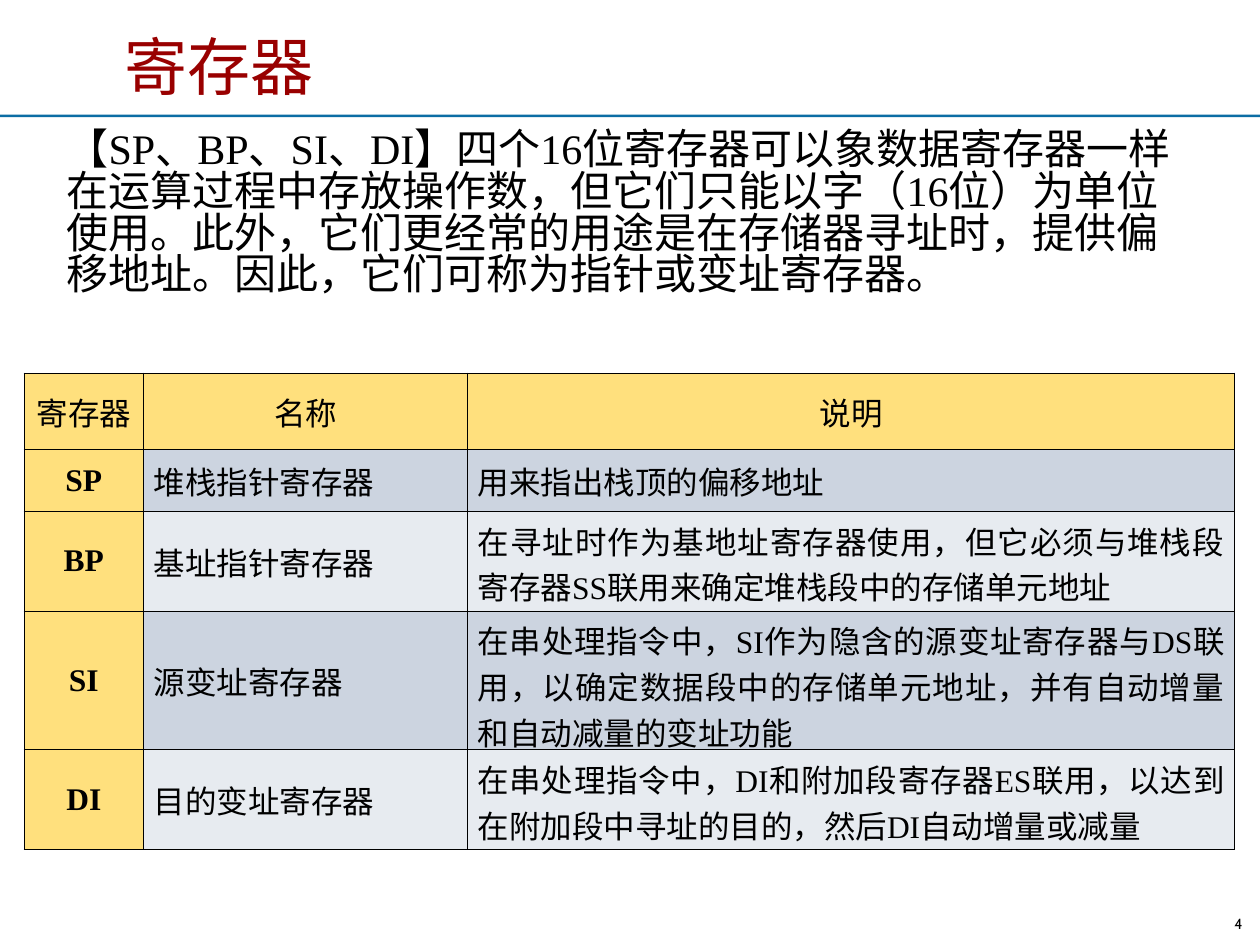
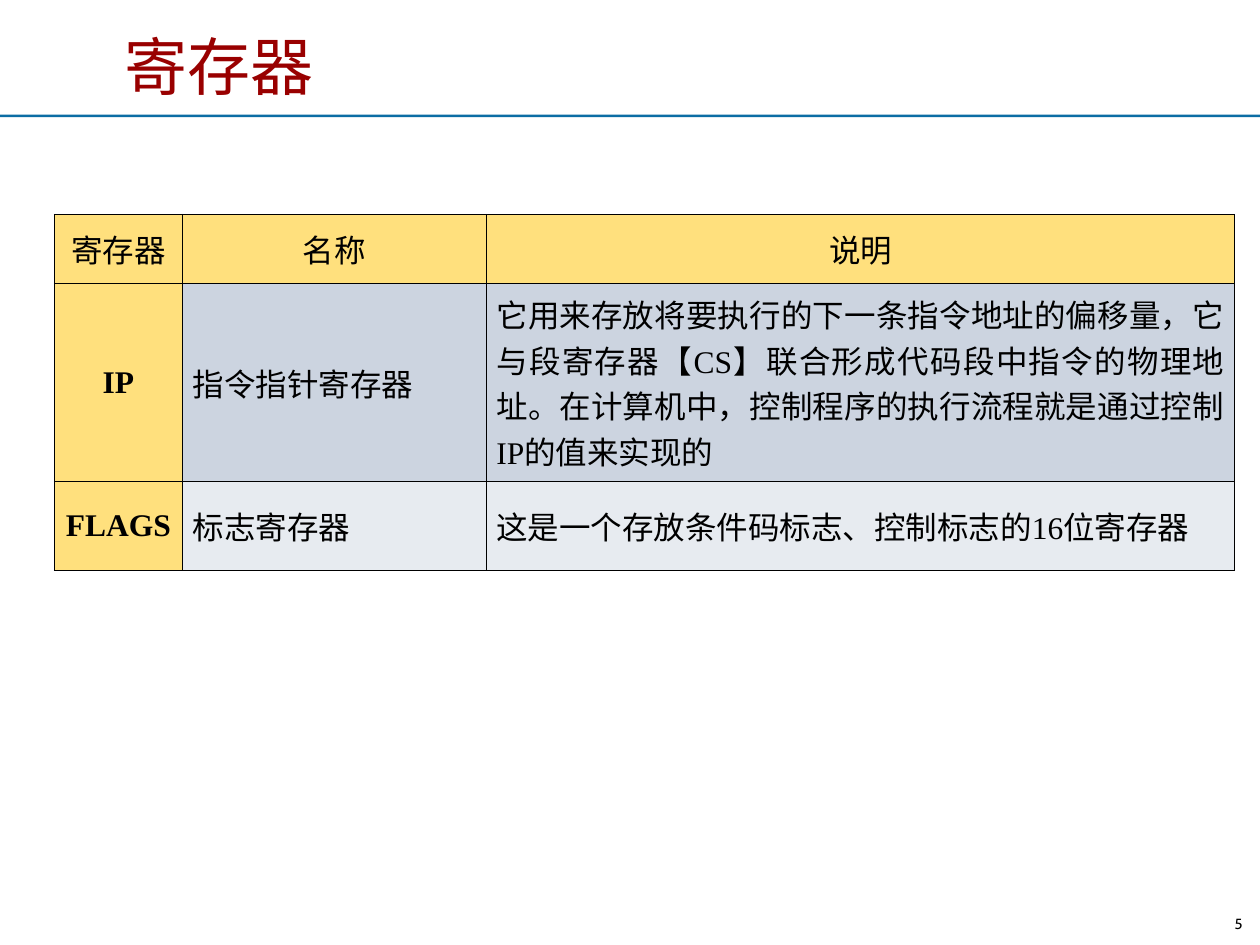
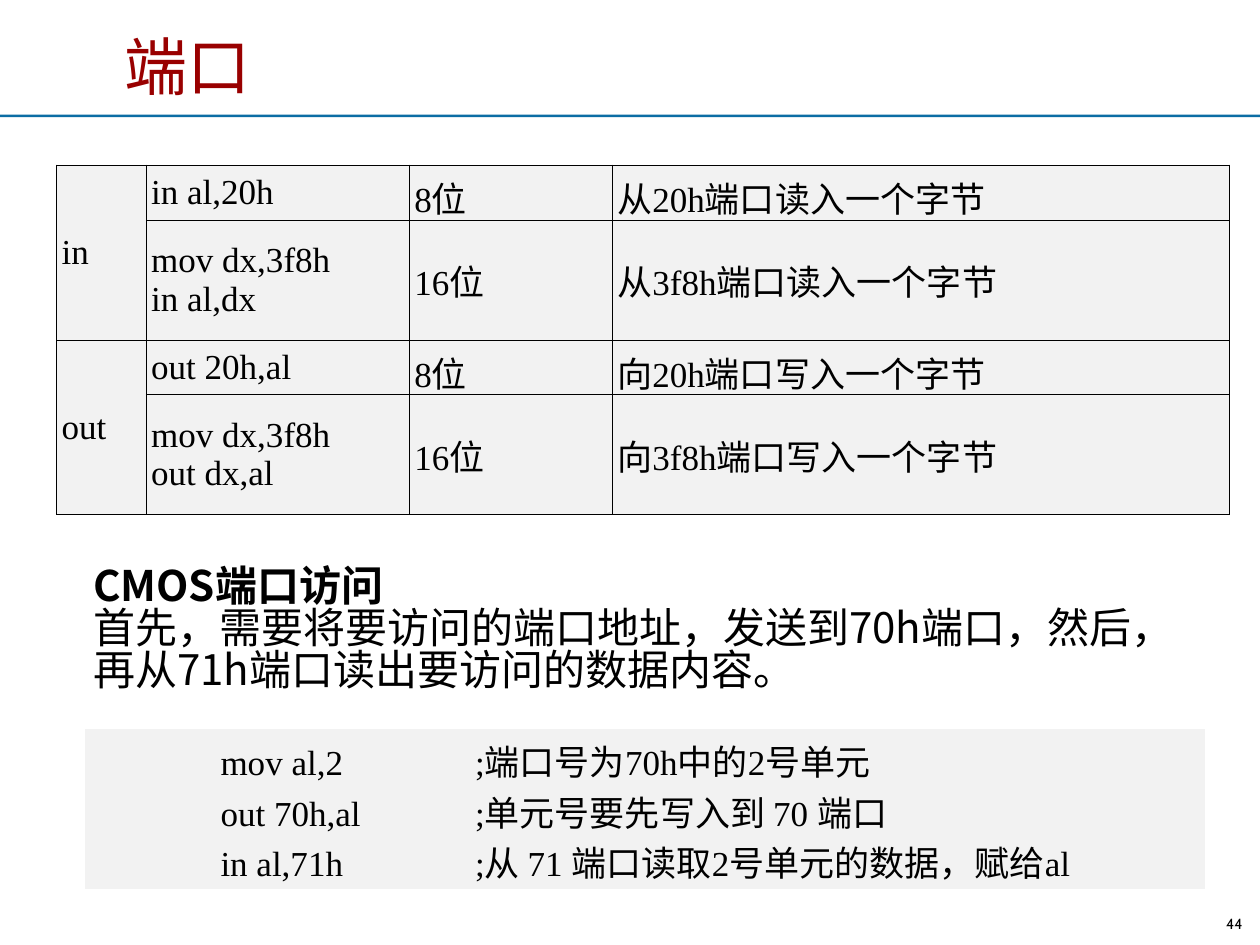
import pptx
import pptx.dml.color
import pptx.enum.shapes
import pptx.enum.text
import pptx.oxml
import pptx.oxml.ns
import pptx.util
from lxml import etree

Inches = pptx.util.Inches
Pt = pptx.util.Pt
ALIGN = pptx.enum.text.PP_ALIGN
MIDDLE = pptx.enum.text.MSO_ANCHOR.MIDDLE
TOP = pptx.enum.text.MSO_ANCHOR.TOP

# Content
HEADER = ("寄存器", "名称", "说明")
POINTER_TEXT = (
    "【SP、BP、SI、DI】四个16位寄存器可以象数据寄存器一样在运算过程中存放操作数，"
    "但它们只能以字（16位）为单位使用。此外，它们更经常的用途是在存储器寻址时，"
    "提供偏移地址。因此，它们可称为指针或变址寄存器。"
)
POINTER_ROWS = [
    HEADER,
    ("SP", "堆栈指针寄存器", "用来指出栈顶的偏移地址"),
    ("BP", "基址指针寄存器",
     "在寻址时作为基地址寄存器使用，但它必须与堆栈段寄存器SS联用来确定堆栈段中的存储单元地址"),
    ("SI", "源变址寄存器",
     "在串处理指令中，SI作为隐含的源变址寄存器与DS联用，以确定数据段中的存储单元地址，"
     "并有自动增量和自动减量的变址功能"),
    ("DI", "目的变址寄存器",
     "在串处理指令中，DI和附加段寄存器ES联用，以达到在附加段中寻址的目的，然后DI自动增量或减量"),
]
CONTROL_ROWS = [
    HEADER,
    ("IP", "指令指针寄存器",
     "它用来存放将要执行的下一条指令地址的偏移量，它与段寄存器【CS】联合形成代码段中指令的物理地址。"
     "在计算机中，控制程序的执行流程就是通过控制IP的值来实现的"),
    ("FLAGS", "标志寄存器", "这是一个存放条件码标志、控制标志的16位寄存器"),
]
PORT_ROWS = [
    ("in", "in al,20h", "8位", "从20h端口读入一个字节"),
    ("", "mov dx,3f8h\nin al,dx", "16位", "从3f8h端口读入一个字节"),
    ("out", "out 20h,al", "8位", "向20h端口写入一个字节"),
    ("", "mov dx,3f8h\nout dx,al", "16位", "向3f8h端口写入一个字节"),
]
CMOS_HEADING = "CMOS端口访问"
CMOS_TEXT = "首先，需要将要访问的端口地址，发送到70h端口，然后，再从71h端口读出要访问的数据内容。"
CMOS_CODE = [
    ("mov al,2", ";端口号为70h中的2号单元"),
    ("out 70h,al", ";单元号要先写入到 70 端口"),
    ("in al,71h", ";从 71 端口读取2号单元的数据，赋给al"),
]
CODE_TABS = (1, 3.02)

# Shared style
COLORS = {
    "title": "990000", "rule": "0C6DA4", "text": "000000", "white": "FFFFFF",
    "key": "FFE07D", "odd": "CCD4E0", "even": "E7EBF0", "code": "F2F2F2",
}
SERIF, SANS, NUMBER = "Times New Roman", "Noto Sans CJK SC", "Cabin"
BODY_SPACING = 0.83


def rgb(name):
    return pptx.dml.color.RGBColor.from_string(COLORS[name])


def style(paragraph, size, font=SERIF, color="text", bold=False, align=ALIGN.LEFT, spacing=None):
    paragraph.alignment = align
    if spacing:
        paragraph.line_spacing = spacing
    paragraph.font.size = Pt(size)
    paragraph.font.bold = bold
    paragraph.font.color.rgb = rgb(color)
    paragraph.font.name = font
    east_asian = etree.SubElement(paragraph.font._element, pptx.oxml.ns.qn("a:ea"))
    east_asian.set("typeface", SANS)


def set_margins(target, left, top, right, bottom):
    target.margin_left, target.margin_top = Inches(left), Inches(top)
    target.margin_right, target.margin_bottom = Inches(right), Inches(bottom)


def add_text(slide, box, lines, margins=(0.1, 0.05, 0.1, 0.05), anchor=TOP):
    frame = slide.shapes.add_textbox(*map(Inches, box)).text_frame
    frame.word_wrap = True
    frame.vertical_anchor = anchor
    set_margins(frame, *margins)
    frame.text = "\n".join(lines)
    return frame.paragraphs


def new_slide(deck, heading, number):
    slide = deck.slides.add_slide(deck.slide_layouts[5])
    rule = slide.shapes.add_shape(pptx.enum.shapes.MSO_SHAPE.RECTANGLE,
                                  0, Inches(0.91), deck.slide_width, Inches(0.02))
    rule.shadow.inherit = False
    rule.fill.solid()
    rule.fill.fore_color.rgb = rgb("rule")
    rule.line.fill.background()

    title = slide.shapes.title
    title.left, title.top, title.width, title.height = map(Inches, (0.89, 0.16, 8.91, 0.71))
    title.text_frame.text = heading
    title.text_frame.vertical_anchor = MIDDLE
    style(title.text_frame.paragraphs[0], 36, color="title")

    page = add_text(slide, (7.63, 7.22, 2.33, 0.24), [str(number)], (0.1, 0.04, 0.1, 0.04), MIDDLE)
    style(page[0], 8.4, NUMBER, align=ALIGN.RIGHT, spacing=0.8)
    return slide


# Tables
def set_borders(cell, color):
    properties = cell._tc.get_or_add_tcPr()
    for side in ("lnL", "lnR", "lnT", "lnB"):
        properties.append(pptx.oxml.parse_xml(
            f'<a:{side} {pptx.oxml.ns.nsdecls("a")} w="{Pt(0.45)}"><a:solidFill>'
            f'<a:srgbClr val="{COLORS[color]}"/></a:solidFill></a:{side}>'))


def add_grid(slide, left, top, widths, heights, rows, fill_of, side_margin=0.08, border="text"):
    table = slide.shapes.add_table(len(rows), len(widths), Inches(left), Inches(top),
                                   Inches(sum(widths)), Inches(sum(heights))).table
    table.first_row = table.horz_banding = False
    for column, width in zip(table.columns, widths):
        column.width = Inches(width)
    for r, (row, height) in enumerate(zip(rows, heights)):
        table.rows[r].height = Inches(height)
        for c, text in enumerate(row):
            cell = table.cell(r, c)
            cell.text = text
            cell.vertical_anchor = MIDDLE
            set_margins(cell, side_margin, 0.05, side_margin, 0.05)
            set_borders(cell, border)
            cell.fill.solid()
            cell.fill.fore_color.rgb = rgb(fill_of(r, c))
    return table


def add_register_table(slide, left, top, widths, heights, rows):
    def fill_of(r, c):
        return "key" if r == 0 or c == 0 else "odd" if r % 2 else "even"

    table = add_grid(slide, left, top, widths, heights, rows, fill_of)
    for r in range(len(rows)):
        for c in range(len(widths)):
            align = ALIGN.CENTER if fill_of(r, c) == "key" else ALIGN.JUSTIFY
            style(table.cell(r, c).text_frame.paragraphs[0], 18,
                  bold=r > 0 and c == 0, align=align)


def add_code_table(slide, left, top, widths, heights, rows, side_margin, border, tabs=()):
    table = add_grid(slide, left, top, widths, heights, rows, lambda r, c: "code",
                     side_margin, border)
    for cell in table.iter_cells():
        for paragraph in cell.text_frame.paragraphs:
            if tabs:
                tab_list = etree.SubElement(paragraph._p.get_or_add_pPr(),
                                            pptx.oxml.ns.qn("a:tabLst"))
                for position in tabs:
                    etree.SubElement(tab_list, pptx.oxml.ns.qn("a:tab"),
                                     pos=str(Inches(position)), algn="l")
            style(paragraph, 20, align=ALIGN.JUSTIFY)
    return table


# Slides
def main():
    deck = pptx.Presentation()
    deck.slide_width, deck.slide_height = Inches(10), Inches(7.5)

    # Pointer and index registers
    slide = new_slide(deck, "寄存器", 4)
    intro = add_text(slide, (0.43, 0.99, 9, 1.73), [POINTER_TEXT])
    style(intro[0], 24, spacing=BODY_SPACING)
    add_register_table(slide, 0.19, 2.96, (0.95, 2.57, 6.09),
                       (0.61, 0.49, 0.79, 1.1, 0.79), POINTER_ROWS)

    # Control registers
    slide = new_slide(deck, "寄存器", 5)
    add_register_table(slide, 0.43, 1.7, (1.02, 2.41, 5.94), (0.55, 1.57, 0.71), CONTROL_ROWS)

    # Ports
    slide = new_slide(deck, "端口", 44)
    ports = add_code_table(slide, 0.45, 1.31, (0.71, 2.09, 1.61, 4.9),
                           (0.44, 0.95, 0.43, 0.95), PORT_ROWS, 0.04, "text")
    for first in (0, 2):
        ports.cell(first, 0).merge(ports.cell(first + 1, 0))
    listing = "\n".join(f"\t{code}\t{remark}" for code, remark in CMOS_CODE)
    add_code_table(slide, 0.67, 5.78, (8.9,), (1.28,), [(listing,)], 0.08, "white", CODE_TABS)
    cmos = add_text(slide, (0.45, 4.23, 8.9, 1.56), [CMOS_HEADING, CMOS_TEXT],
                    (0.29, 0.18, 0.1, 0.18), MIDDLE)
    for paragraph, bold in zip(cmos, (True, False)):
        style(paragraph, 24, SANS, bold=bold, spacing=BODY_SPACING)

    deck.save("out.pptx")


if __name__ == "__main__":
    main()
